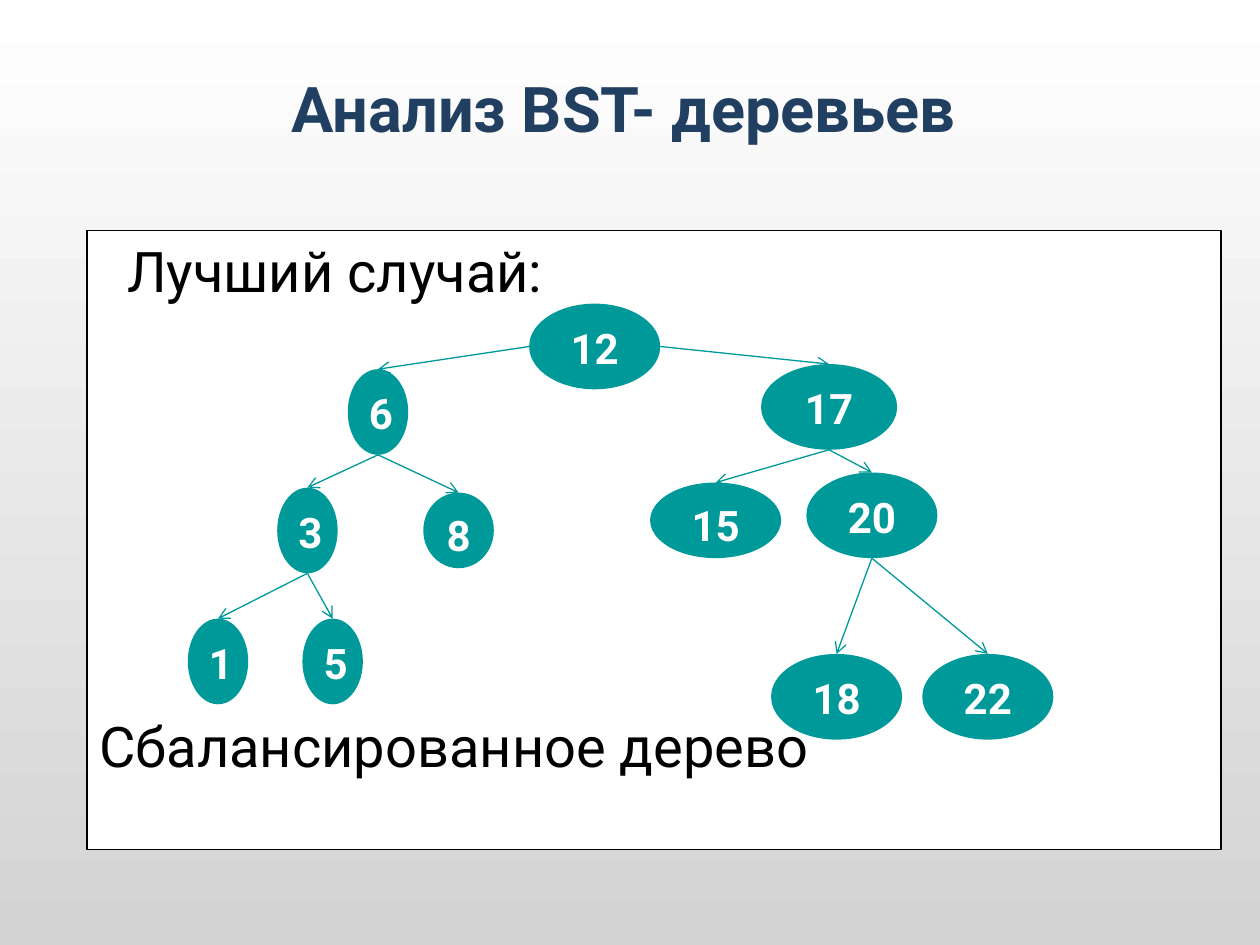
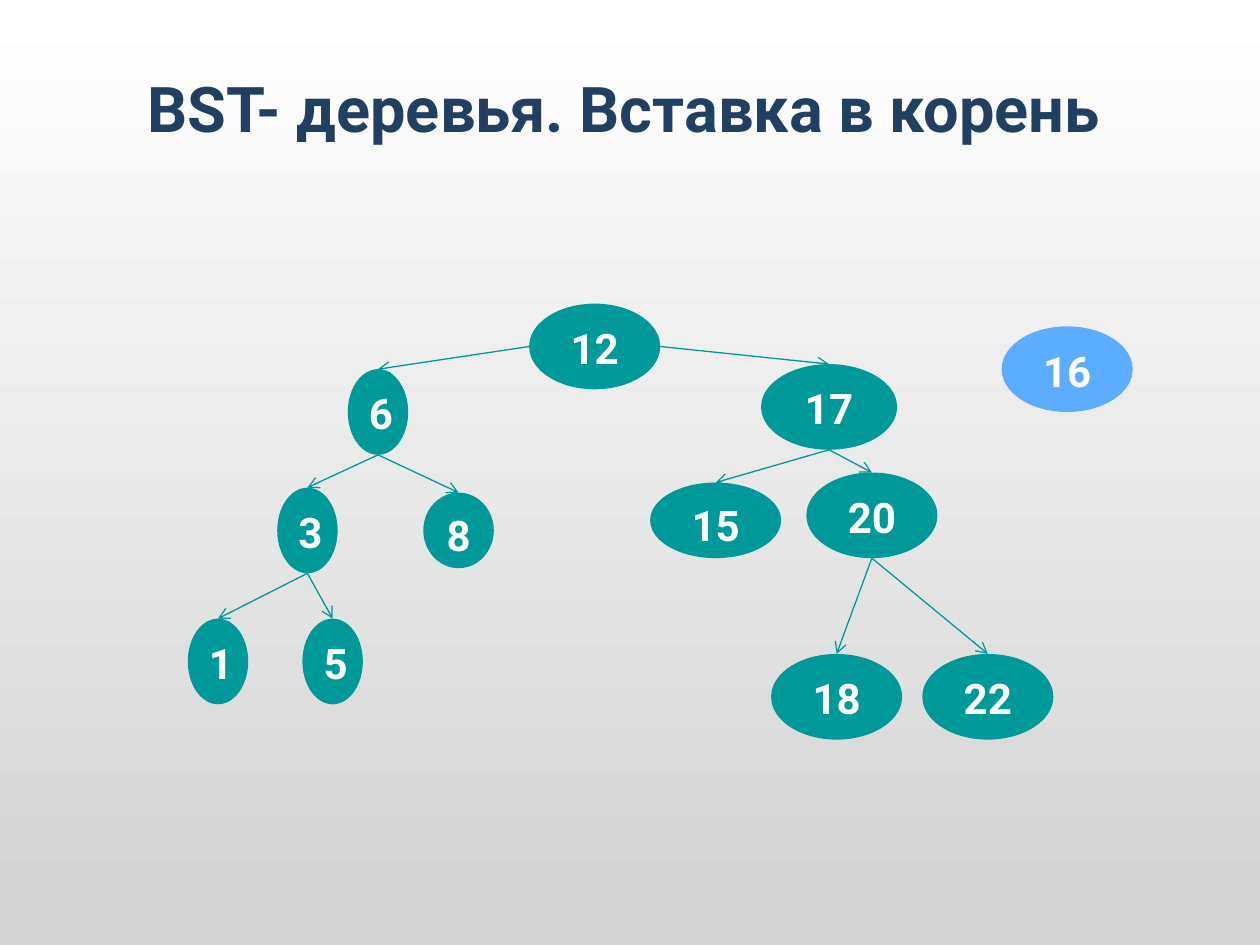
from dataclasses import dataclass

from lxml import etree
from pptx import Presentation
from pptx import util as u
from pptx.dml.color import RGBColor as Rgb
from pptx.enum import shapes, text
from pptx.oxml import ns

PX = 9144  # 100 px to the inch


@dataclass(frozen=True)
class Theme:
    font: str = "Roboto"
    title: Rgb = Rgb(0x20, 0x3F, 0x61)
    ink: Rgb = Rgb(0, 0, 0)
    paper: Rgb = Rgb(255, 255, 255)
    shade: Rgb = Rgb(0xD3, 0xD3, 0xD3)
    node: Rgb = Rgb(0, 0x99, 0x99)
    fresh: Rgb = Rgb(0x5C, 0xAD, 0xFF)
    head: int = 36
    body: int = 32
    key: int = 24
    line: float = 0.75
    lead: int = 2


T = Theme()

# Tree: key -> left, top, width, height
NODES = {
    12: (420, 241, 104, 68),
    6: (276, 293, 48, 68),
    17: (604, 289, 108, 68),
    3: (220, 387, 48, 68),
    8: (336, 391, 56, 60),
    15: (516, 383, 104, 60),
    20: (640, 375, 104, 68),
    1: (149, 491, 48, 68),
    5: (240, 491, 48, 68),
    18: (612, 519, 104, 68),
    22: (732, 519, 104, 68),
}
ROOT = 12
KIDS = {12: (6, 17), 6: (3, 8), 17: (15, 20), 3: (1, 5), 20: (18, 22)}


def emu(*px):
    return [u.Emu(round(n * PX)) for n in px]


def style(para, size, color, bold=False):
    font = para.font
    font.name, font.size, font.bold = T.font, u.Pt(size), bold
    font.color.rgb = color


def paint(deck):
    """Set the gradient that all slides share."""
    fill = deck.slide_master.background.fill
    fill.gradient()
    fill.gradient_angle = 270
    for stop, color in zip(fill.gradient_stops, (T.paper, T.shade)):
        stop.color.rgb = color


def start(deck, words):
    """Add a slide with its title."""
    slide = deck.slides.add_slide(deck.slide_layouts[5])
    title = slide.shapes.title
    title.left, title.top, title.width, title.height = emu(45, 24, 900, 122)
    frame = title.text_frame
    frame.text = words
    frame.vertical_anchor = text.MSO_ANCHOR.MIDDLE
    para = frame.paragraphs[0]
    para.alignment = text.PP_ALIGN.CENTER
    style(para, T.head, T.title, True)
    return slide


def block(slide, kind, box, color):
    """Add a plain filled shape whose text starts at the top."""
    shape = slide.shapes.add_shape(kind, *emu(*box))
    shape.shadow.inherit = False
    shape.fill.solid()
    shape.fill.fore_color.rgb = color
    shape.line.fill.background()
    shape.text_frame.vertical_anchor = text.MSO_ANCHOR.TOP
    return shape


def panel(slide, box, lines):
    """Add the framed panel; lines hold words, indent and space before."""
    shape = block(slide, shapes.MSO_SHAPE.RECTANGLE, box, T.paper)
    shape.line.color.rgb = T.ink
    shape.line.width = u.Pt(T.line)
    frame = shape.text_frame
    frame.text = "\n".join(words for words, _, _ in lines)
    for para, (_, indent, gap) in zip(frame.paragraphs, lines):
        para.alignment = text.PP_ALIGN.LEFT
        para.space_before = u.Pt(gap)
        para._p.get_or_add_pPr().set("marL", str(indent * PX))
        style(para, T.body, T.ink)


def node(slide, key, box, color=T.node):
    shape = block(slide, shapes.MSO_SHAPE.OVAL, box, color)
    shape.text_frame.text = str(key)
    para = shape.text_frame.paragraphs[0]
    para.alignment = text.PP_ALIGN.CENTER
    para.space_before = u.Pt(T.lead)
    style(para, T.key, T.paper, True)


def arrow(slide, tail, tip):
    link = slide.shapes.add_connector(
        shapes.MSO_CONNECTOR.STRAIGHT, *emu(*tail, *tip))
    link.line.color.rgb = T.node
    link.line.width = u.Pt(T.line)
    etree.SubElement(link.line._get_or_add_ln(), ns.qn("a:tailEnd"), type="arrow")
    etree.SubElement(link._element.spPr, ns.qn("a:effectLst"))


def tree(slide):
    """Draw the arrows from each parent to its children, then the nodes."""
    for key, pair in KIDS.items():
        x, y, w, h = NODES[key]
        for side, kid in enumerate(pair):
            if key == ROOT:
                tail = (x + side * w, y + h / 2)
            else:
                tail = (x + w / 2, y + h)
            left, top, wide, _ = NODES[kid]
            arrow(slide, tail, (left + wide / 2, top))
    for key, box in NODES.items():
        node(slide, key, box)


def main():
    deck = Presentation()
    deck.slide_width, deck.slide_height = emu(1000, 750)
    paint(deck)

    # Best case: balanced tree
    best = start(deck, "Анализ BST- деревьев")
    panel(best, (69, 183, 900, 491), [
        ("Лучший случай:", 22, T.lead),
        ("Сбалансированное дерево", 0, 233),
    ])
    tree(best)

    # Insertion at the root
    insert = start(deck, "BST- деревья. Вставка в корень")
    tree(insert)
    node(insert, 16, (795, 259, 104, 68), T.fresh)

    deck.save("out.pptx")


if __name__ == "__main__":
    main()
